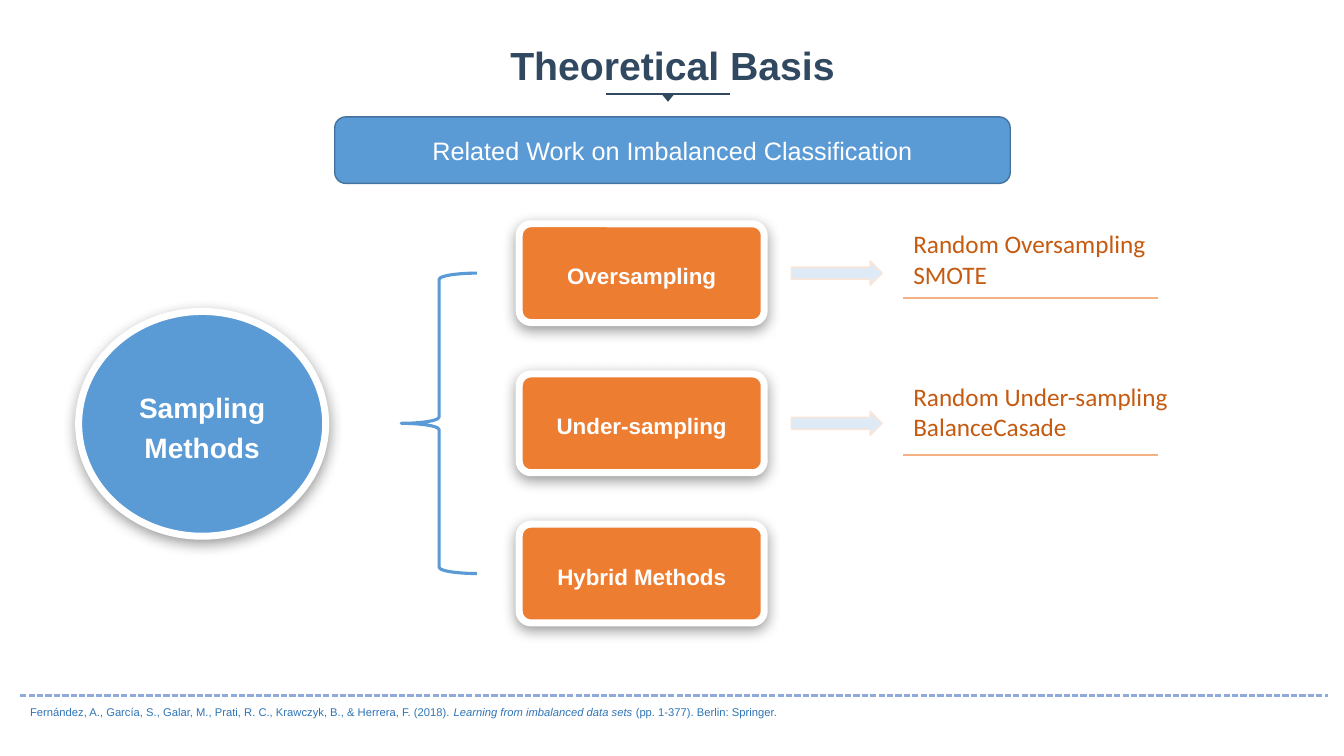
from lxml.etree import SubElement
from pptx import Presentation
from pptx.dml.color import RGBColor
from pptx.enum.dml import MSO_LINE as Dash
from pptx.enum.shapes import MSO_CONNECTOR as Link, MSO_SHAPE as Form
from pptx.enum.text import MSO_ANCHOR as Anchor, MSO_AUTO_SIZE as Fit, PP_ALIGN as Align
from pptx.oxml.ns import qn
from pptx.util import Inches, Pt

NAVY = RGBColor(0x30, 0x48, 0x60)
BLUE = RGBColor(0x5B, 0x9B, 0xD5)
EDGE = RGBColor(0x43, 0x73, 0x9E)
PALE = RGBColor(0xDE, 0xEB, 0xF7)
DASH = RGBColor(0x8F, 0xAA, 0xDC)
CITE = RGBColor(0x2E, 0x75, 0xB6)
ORANGE = RGBColor(0xED, 0x7D, 0x31)
PEACH = RGBColor(0xFB, 0xE5, 0xD6)
RULE = RGBColor(0xF4, 0xB1, 0x83)
RUST = RGBColor(0xC5, 0x5A, 0x11)
WHITE = RGBColor(0xFF, 0xFF, 0xFF)

HEAD = {"name": "Arial", "size": Pt(28), "bold": True}
BAND = {"name": "Arial", "size": Pt(18)}
HUB = {"name": "Arial", "size": Pt(20), "bold": True}
CARD = {"name": "Arial", "size": Pt(16), "bold": True}
LIST = {"name": "Calibri", "size": Pt(18)}
NOTE = {"name": "Arial", "size": Pt(8)}

STEP = 1.49
METHODS = [
    ("Oversampling", ["Random Oversampling", "SMOTE"], 2.53, 2.22, 2.96),
    ("Under-sampling", ["Random Under-sampling", "BalanceCasade"], 2.76, 3.73, 4.51),
    ("Hybrid Methods", [], 0, 0, 0),
]


def style(font, form, color):
    for key, value in form.items():
        setattr(font, key, value)
    font.color.rgb = color


def rule(slide, start, end, color, dash=None):
    line = slide.shapes.add_connector(Link.STRAIGHT, *map(Inches, start + end))
    line.line.color.rgb = color
    line.line.width = Pt(1.5)
    if dash:
        line.line.dash_style = dash
    SubElement(line.element.spPr, qn("a:effectLst"))


def shape(slide, form, box, fill, edge=None, width=1):
    item = slide.shapes.add_shape(form, *map(Inches, box))
    item.shadow.inherit = False
    if fill is None:
        item.fill.background()
    else:
        item.fill.solid()
        item.fill.fore_color.rgb = fill
    if edge is None:
        item.line.fill.background()
    else:
        item.line.color.rgb = edge
        item.line.width = Pt(width)
    return item


def label(item, text, form, space=None):
    frame = item.text_frame
    frame.word_wrap = True
    frame.vertical_anchor = Anchor.MIDDLE
    para = frame.paragraphs[0]
    para.alignment = Align.CENTER
    para.line_spacing = space
    run = para.add_run()
    run.text = text
    style(run.font, form, WHITE)


def shade(item):
    effect = item.element.spPr.find(qn("a:effectLst"))
    outer = SubElement(effect, qn("a:outerShdw"), blurRad=str(Pt(10)), dist=str(Pt(3)),
                       dir="5400000", algn="t", rotWithShape="0")
    tint = SubElement(outer, qn("a:srgbClr"), val="000000")
    SubElement(tint, qn("a:alpha"), val="40000")


def write(slide, box, lines, form, color, align=Align.LEFT):
    frame = slide.shapes.add_textbox(*map(Inches, box)).text_frame
    frame.word_wrap = False
    frame.auto_size = Fit.SHAPE_TO_FIT_TEXT
    for i, parts in enumerate(lines):
        para = frame.add_paragraph() if i else frame.paragraphs[0]
        para.alignment = align
        for text, slant in parts:
            run = para.add_run()
            run.text = text
            style(run.font, form, color)
            run.font.italic = slant


def header(slide, x, y, w, h):
    write(slide, (x, y, w, h), [[("Theoretical Basis", False)]], HEAD, NAVY, Align.CENTER)
    mid, base = x + w / 2 - 0.05, y + h
    rule(slide, (mid - 0.61, base), (mid + 0.62, base), NAVY)
    mark = shape(slide, Form.ISOSCELES_TRIANGLE, (mid - 0.06, base, 0.13, 0.08), NAVY)
    mark.rotation = 180


def banner(slide, *box):
    band = shape(slide, Form.ROUNDED_RECTANGLE, box, BLUE, EDGE)
    label(band, "Related Work on Imbalanced Classification", BAND)


def hub(slide, x, y, w, h):
    disc = shape(slide, Form.OVAL, (x, y, w, h), BLUE, WHITE, 5)
    label(disc, "Sampling Methods", HUB, 1.2)
    shade(disc)
    shape(slide, Form.LEFT_BRACE, (x + 3.2, y - 0.38, 0.75, 2 * STEP), None, BLUE, 2.25)


def method(slide, x, y, w, h, name, items, wide, top, base):
    card = shape(slide, Form.ROUNDED_RECTANGLE, (x, y, w, h), ORANGE, WHITE, 5)
    card.adjustments[0] = 0.12
    label(card, name, CARD, 1.2)
    shade(card)
    if items:
        shape(slide, Form.RIGHT_ARROW, (x + w + 0.27, y + h / 2 - 0.12, 0.9, 0.24), PALE, PEACH)
        left = x + w + 1.38
        rule(slide, (left, base), (left + 2.53, base), RULE)
        write(slide, (left, top, wide, 0.71), [[(item, False)] for item in items], LIST, RUST)


def footer(slide, x, y, w, h):
    rule(slide, (x, y), (x + w, y), DASH, Dash.SQUARE_DOT)
    cite = [
        ("Fernández, A., García, S., Galar, M., Prati, R. C., Krawczyk, B., & Herrera, F. (2018). ", False),
        ("Learning from imbalanced data sets", True),
        (" (pp. 1-377). Berlin: Springer.", False),
    ]
    write(slide, (x, y + 0.05, 7.69, h), [cite], NOTE, CITE)


def main():
    deck = Presentation()
    deck.slide_width, deck.slide_height = Inches(13.33), Inches(7.5)
    slide = deck.slides.add_slide(deck.slide_layouts[6])
    header(slide, 4.94, 0.36, 3.46, 0.57)
    banner(slide, 3.32, 1.16, 6.7, 0.66)
    hub(slide, 0.78, 3.09, 2.45, 2.23)
    for i, row in enumerate(METHODS):
        method(slide, 5.15, 2.22 + i * STEP, 2.43, 0.98, *row)
    footer(slide, 0.2, 6.9, 12.97, 0.37)
    deck.save("out.pptx")


if __name__ == "__main__":
    main()
